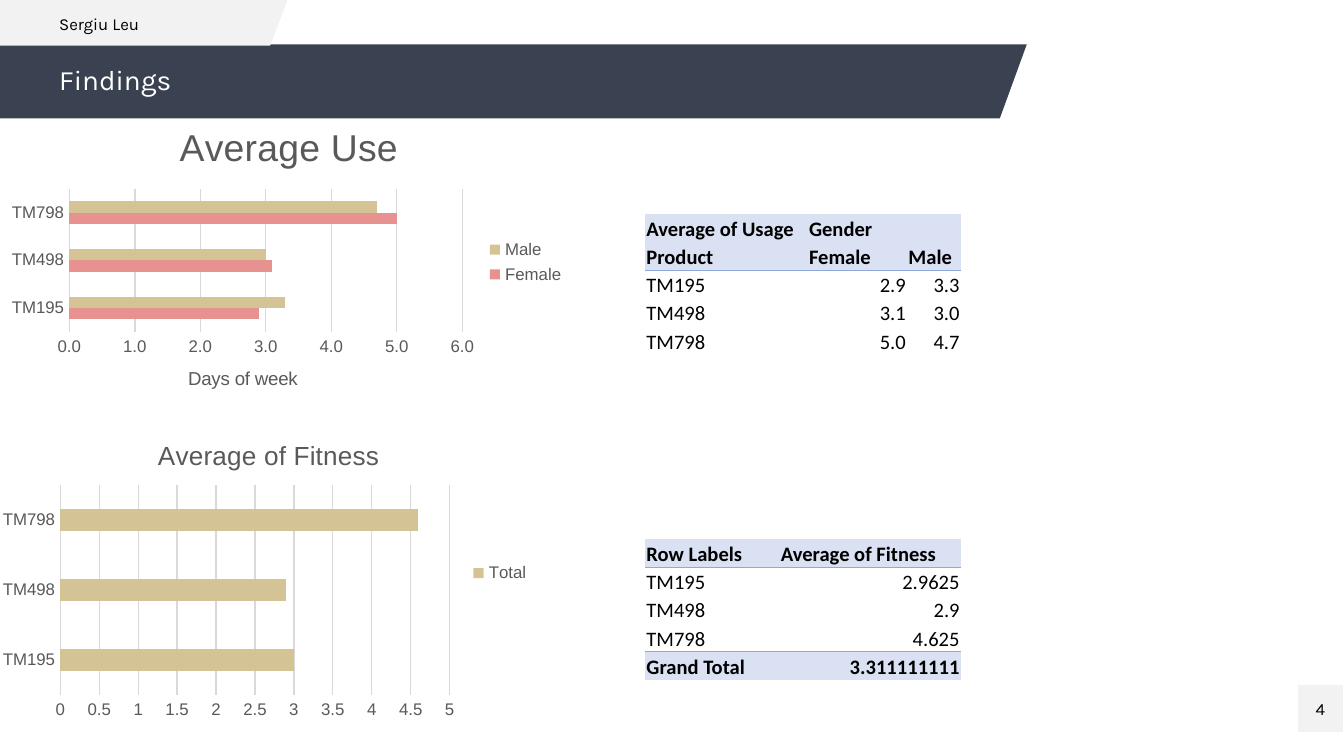
from dataclasses import dataclass
from typing import Optional

from lxml.etree import SubElement
from pptx import Presentation
from pptx.chart.data import CategoryChartData
from pptx.dml.color import RGBColor
from pptx.enum.chart import XL_CHART_TYPE as ChartType, XL_LEGEND_POSITION as LegendPos
from pptx.enum.chart import XL_TICK_MARK as TickMark
from pptx.enum.text import MSO_ANCHOR as Anchor, MSO_AUTO_SIZE as AutoSize, PP_ALIGN as Align
from pptx.oxml import parse_xml
from pptx.oxml.ns import nsdecls, qn
from pptx.util import Inches, Pt

BLACK = RGBColor(0x00, 0x00, 0x00)
WHITE = RGBColor(0xFF, 0xFF, 0xFF)
LIGHT = RGBColor(0xF2, 0xF2, 0xF2)
NAVY = RGBColor(0x3A, 0x42, 0x52)
GREY = RGBColor(0x59, 0x59, 0x59)
GRID = RGBColor(0xD9, 0xD9, 0xD9)
PINK = RGBColor(0xE7, 0x91, 0x91)
SAND = RGBColor(0xD4, 0xC4, 0x95)
BAND = RGBColor(0xD9, 0xE1, 0xF2)
RULE = RGBColor(0x8E, 0xA9, 0xDB)
NO_STYLE = "{2D5ABB26-0587-4C30-8999-92F81FD0307C}"
PRODUCTS = ["TM195", "TM498", "TM798"]


@dataclass
class BarChart:
    title: str
    title_size: float
    box: tuple    # left, top, width, height in inches
    plot: tuple   # x, y, w, h as fractions of the chart
    series: list  # (name, values, colour)
    top_value: float
    step: float
    number_format: str
    axis_title: Optional[str] = None


@dataclass
class PivotTable:
    left: float
    top: float
    columns: list
    rows: list
    header_rows: int
    total_rows: int = 0


def write(frame, text, *, size, font="Karla", color=BLACK, bold=False, align=Align.LEFT,
          anchor=Anchor.TOP, insets=(0.1, 0.05, 0.1, 0.05), spacing=None):
    """Put one formatted paragraph in a text frame."""
    frame.word_wrap = True
    frame.vertical_anchor = anchor
    (frame.margin_left, frame.margin_top,
     frame.margin_right, frame.margin_bottom) = map(Inches, insets)
    para = frame.paragraphs[0]
    para.alignment = align
    para.space_before = Pt(0)
    if spacing:
        para.line_spacing = spacing
    run = para.add_run()
    run.text = text
    set_font(run.font, size, color, font, bold)
    return para


def set_font(font, size: float, color=GREY, name="Arial", bold=False) -> None:
    font.size, font.name, font.bold = Pt(size), name, bold
    font.color.rgb = color


def place(shape, left: float, top: float, width: float, height: float) -> None:
    shape.left, shape.top = Inches(left), Inches(top)
    shape.width, shape.height = Inches(width), Inches(height)


def draw_panel(slide, points: list, color: RGBColor) -> None:
    """Draw a filled outline behind the placeholders."""
    corners = [(Inches(x), Inches(y)) for x, y in points]
    builder = slide.shapes.build_freeform(*corners[0])
    builder.add_line_segments(corners[1:], close=True)
    panel = builder.convert_to_shape()
    panel.shadow.inherit = False
    panel.fill.solid()
    panel.fill.fore_color.rgb = color
    panel.line.fill.background()
    slide.shapes._spTree.insert(2, panel._element)


def draw_chart(slide, spec: BarChart) -> None:
    data = CategoryChartData(number_format=spec.number_format)
    data.categories = PRODUCTS
    for name, values, _ in spec.series:
        data.add_series(name, values)
    chart = slide.shapes.add_chart(ChartType.BAR_CLUSTERED, *map(Inches, spec.box), data).chart
    set_font(chart.font, 10, BLACK)

    # Title and legend
    def title_text(owner, text, size):
        run = owner.text_frame.paragraphs[0].add_run()
        run.text = text
        set_font(run.font, size)

    chart.has_title = True
    title_text(chart.chart_title, spec.title, spec.title_size)
    chart.has_legend = True
    chart.legend.position = LegendPos.RIGHT
    chart.legend.include_in_layout = False
    set_font(chart.legend.font, 9)

    # Bars
    bars = chart.plots[0]
    bars.gap_width, bars.overlap, bars.vary_by_categories = 219, 0, False
    for series, (_, _, color) in zip(bars.series, spec.series):
        series.format.fill.solid()
        series.format.fill.fore_color.rgb = color

    # Axes
    products, scale = chart.category_axis, chart.value_axis
    for axis in (products, scale):
        axis.major_tick_mark = axis.minor_tick_mark = TickMark.NONE
        set_font(axis.tick_labels.font, 9)
    grid = scale.major_gridlines.format.line
    for line in (products.format.line, grid):
        line.color.rgb, line.width = GRID, Pt(0.75)
    scale.format.line.fill.background()
    scale.minimum_scale, scale.maximum_scale, scale.major_unit = 0, spec.top_value, spec.step
    scale.tick_labels.number_format = spec.number_format
    scale.tick_labels.number_format_is_linked = False
    if spec.axis_title:
        title_text(scale.axis_title, spec.axis_title, 10)

    # Fixed plot area
    area = chart._chartSpace.chart.plotArea
    for old in area.findall(qn("c:layout")):
        area.remove(old)
    sizes = "".join(f'<c:{key} val="{value}"/>' for key, value in zip("xywh", spec.plot))
    area.insert(0, parse_xml(
        f'<c:layout {nsdecls("c")}><c:manualLayout><c:layoutTarget val="inner"/>'
        f'<c:xMode val="edge"/><c:yMode val="edge"/>{sizes}</c:manualLayout></c:layout>'))


def add_border(cell, side: str, ruled: bool) -> None:
    line = SubElement(cell._tc.get_or_add_tcPr(), qn(f"a:ln{side}"), w=str(Pt(0.5)))
    if ruled:
        SubElement(SubElement(line, qn("a:solidFill")), qn("a:srgbClr"), val=str(RULE))
    else:
        SubElement(line, qn("a:noFill"))


def draw_table(slide, spec: PivotTable) -> None:
    count, row_height = len(spec.rows), 0.21
    table = slide.shapes.add_table(
        count, len(spec.columns), Inches(spec.left), Inches(spec.top),
        Inches(sum(spec.columns)), Inches(row_height * count)).table
    table.first_row = table.horz_banding = False
    table._tbl.tblPr.find(qn("a:tableStyleId")).text = NO_STYLE
    for column, width in zip(table.columns, spec.columns):
        column.width = Inches(width)
    first_total = count - spec.total_rows
    ruled = {spec.header_rows, first_total} - {count}  # rows with a rule above
    for r, texts in enumerate(spec.rows):
        table.rows[r].height = Inches(row_height)
        header = r < spec.header_rows
        strong = header or r >= first_total
        for c, text in enumerate(texts):
            cell = table.cell(r, c)
            add_border(cell, "T", r in ruled)
            add_border(cell, "B", r + 1 in ruled)
            if strong:
                cell.fill.solid()
                cell.fill.fore_color.rgb = BAND
            else:
                cell.fill.background()
            cell.vertical_anchor = Anchor.BOTTOM
            cell.margin_left = cell.margin_top = cell.margin_right = Inches(0.01)
            cell.margin_bottom = 0
            para = cell.text_frame.paragraphs[0]
            if not text:
                SubElement(para._p, qn("a:endParaRPr"), sz="1100")
                continue
            para.alignment = Align.RIGHT if c and not header else Align.LEFT
            run = para.add_run()
            run.text = text
            set_font(run.font, 11, BLACK, "Calibri", strong)


def main() -> None:
    deck = Presentation()
    deck.slide_width = Inches(10)
    deck.slide_height = deck.slide_width * 9 // 16
    slide = deck.slides.add_slide(deck.slide_layouts[1])

    # Banners and page number
    draw_panel(slide, [(0, 0), (2.14, 0), (2.01, 0.34), (0, 0.34)], LIGHT)
    draw_panel(slide, [(0, 0.33), (7.64, 0.33), (7.44, 0.88), (0, 0.88)], NAVY)
    draw_panel(slide, [(9.99, 5.1), (9.66, 5.1), (9.66, 5.45), (9.99, 5.45)], LIGHT)
    page = slide.shapes.add_textbox(*map(Inches, (9.66, 5.15, 0.33, 0.24)))
    write(page.text_frame, "4", size=9.1, align=Align.CENTER, anchor=Anchor.MIDDLE,
          insets=(0.05, 0.02, 0.05, 0.02))

    # Author and title
    title, author = slide.shapes.title, slide.placeholders[1]
    place(author, 0.34, 0.07, 1.66, 0.24)
    place(title, 0.34, 0.44, 6.94, 0.33)
    title.text_frame.auto_size = author.text_frame.auto_size = AutoSize.NONE
    write(title.text_frame, "Findings", size=15, color=WHITE, anchor=Anchor.MIDDLE, spacing=0.9)
    props = write(author.text_frame, "Sergiu Leu", size=9, spacing=0.9)._p.get_or_add_pPr()
    props.set("marL", "0")
    props.set("indent", "0")
    SubElement(props, qn("a:buNone"))

    # Charts
    draw_chart(slide, BarChart(
        "Average Use", 20, (0, 0.77, 4.3, 2.36), (0.12, 0.27, 0.68, 0.45),
        [("Female", (2.9, 3.1, 5), PINK), ("Male", (3.3, 3, 4.7), SAND)],
        6, 1, "0.0", "Days of week"))
    draw_chart(slide, BarChart(
        "Average of Fitness", 14, (-0.04, 3.13, 4.08, 2.27), (0.12, 0.21, 0.71, 0.69),
        [("Total", (3, 2.9, 4.6), SAND)], 5, 0.5, "General"))

    # Tables
    draw_table(slide, PivotTable(4.8, 1.59, [1.21, 0.74, 0.4], [
        ["Average of Usage", "Gender", ""], ["Product", "Female", "Male"],
        ["TM195", "2.9", "3.3"], ["TM498", "3.1", "3.0"], ["TM798", "5.0", "4.7"]], 2))
    draw_table(slide, PivotTable(4.8, 4.01, [1, 1.35], [
        ["Row Labels", "Average of Fitness"], ["TM195", "2.9625"], ["TM498", "2.9"],
        ["TM798", "4.625"], ["Grand Total", "3.311111111"]], 1, 1))

    deck.save("out.pptx")


if __name__ == "__main__":
    main()
